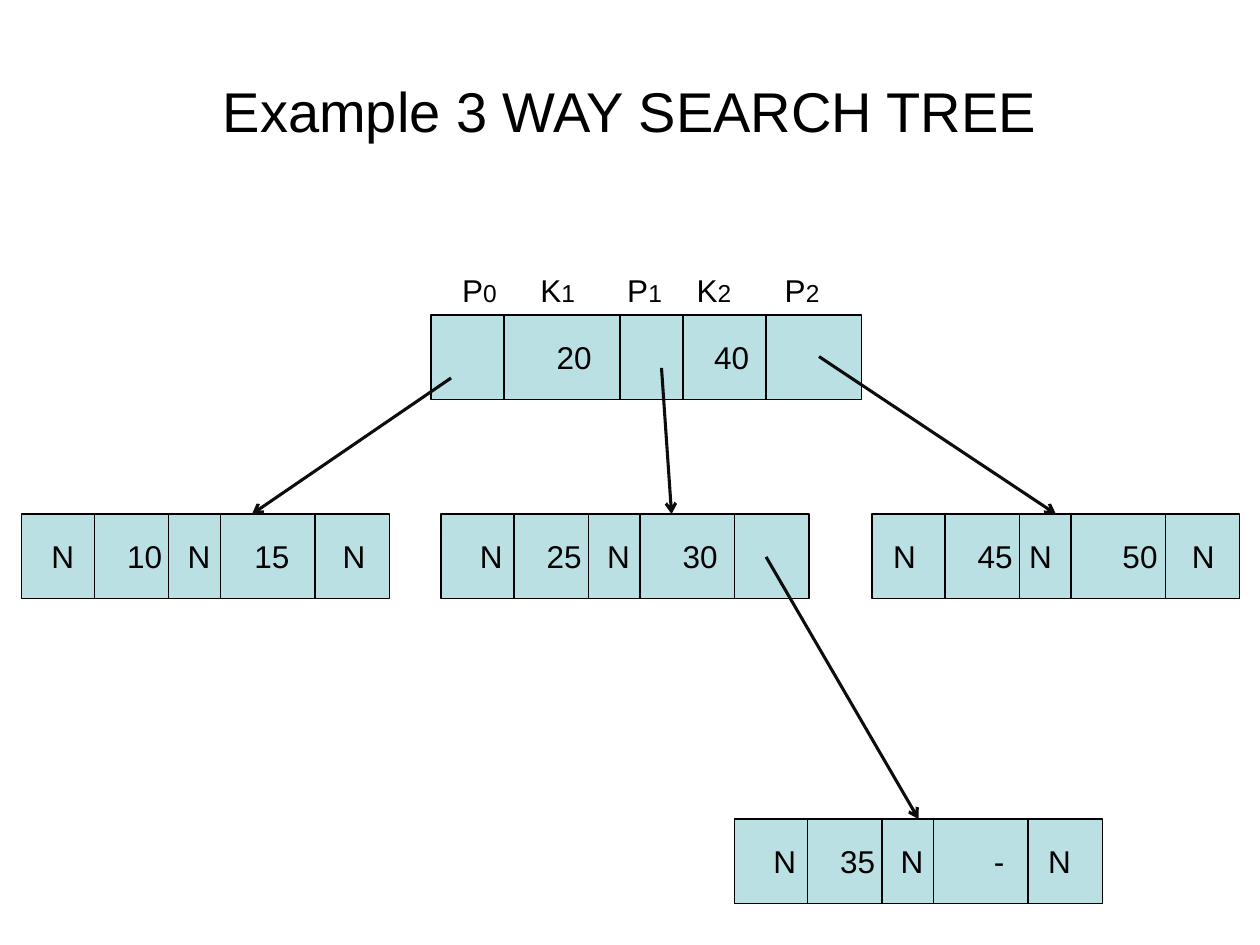
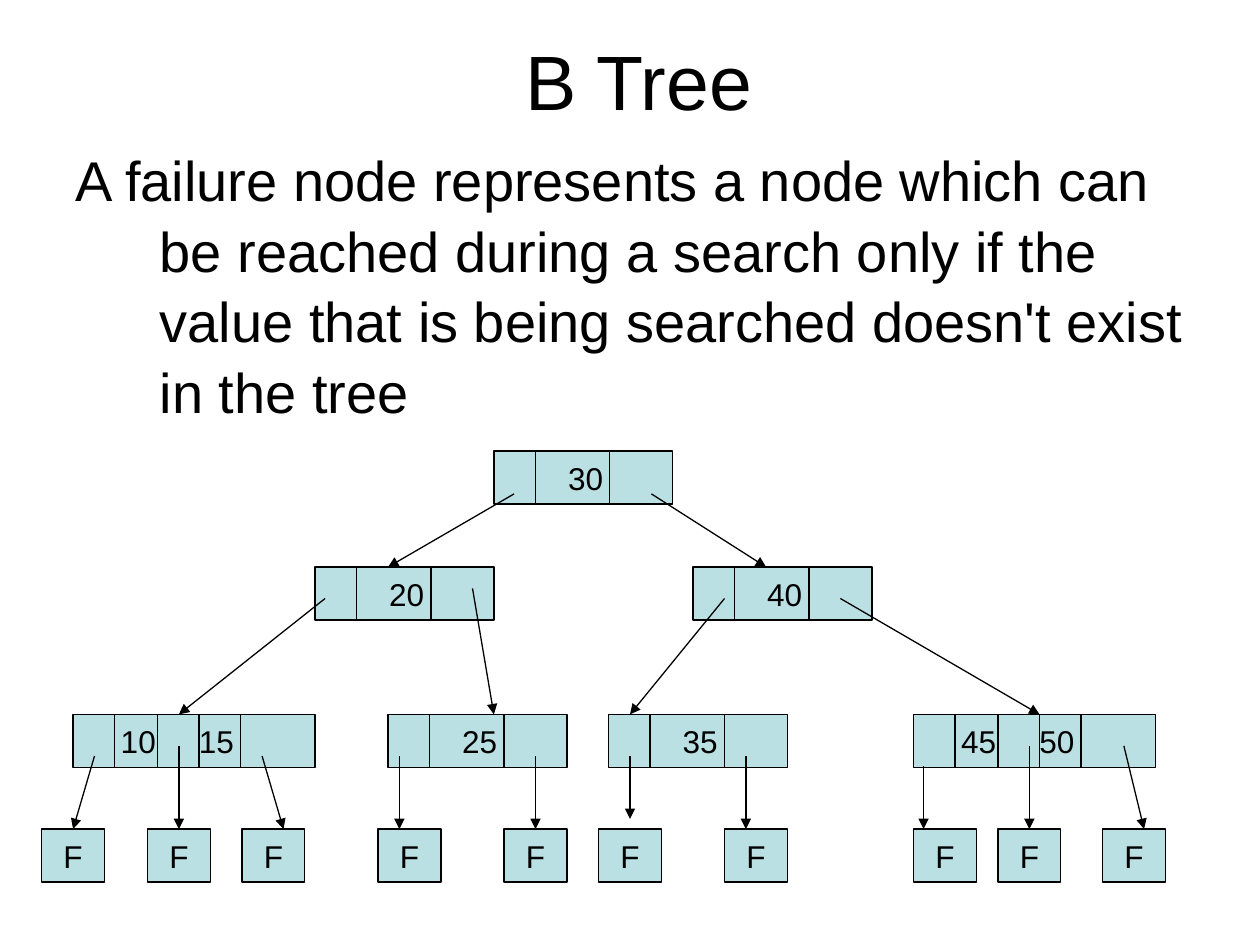
from lxml import etree
from pptx import Presentation
from pptx.dml.color import RGBColor
from pptx.enum.shapes import MSO_CONNECTOR as CONNECTOR, MSO_SHAPE as SHAPE
from pptx.enum.text import MSO_ANCHOR as ANCHOR, PP_ALIGN as ALIGN
from pptx.oxml.ns import qn
from pptx.util import Inches, Pt

FONT = "Arial"
BLACK = RGBColor(0x00, 0x00, 0x00)
DARK = RGBColor(0x0D, 0x0D, 0x0D)
AQUA = RGBColor(0xBB, 0xE0, 0xE3)

ROOT_DIVIDERS = [0.58, 1.5, 2, 2.66]
THREE_WAY_DIVIDERS = [0.58, 1.17, 1.58, 2.33]
ONE_KEY_DIVIDERS = [0.33, 0.92]
TWO_KEY_DIVIDERS = [0.33, 0.67, 1, 1.33]


def add_run(p, text, size):
    r = p.add_run()
    r.text = text
    r.font.name = FONT
    r.font.size = Pt(size)
    r.font.color.rgb = BLACK


def set_tabs(p, stops):
    """Put left tab stops, in inches from the text edge, on a paragraph."""
    tabs = etree.SubElement(p._p.get_or_add_pPr(), qn("a:tabLst"))
    for stop in stops:
        etree.SubElement(tabs, qn("a:tab"), pos=str(Inches(stop)), algn="l")


def add_text_box(s, left, top, width, height, anchor=ANCHOR.TOP):
    """Add a wrapping text box and return its first paragraph."""
    tf = s.shapes.add_textbox(Inches(left), Inches(top),
                              Inches(width), Inches(height)).text_frame
    tf.word_wrap = True
    tf.vertical_anchor = anchor
    return tf.paragraphs[0]


def add_title(s, text, size, left, top, width, height):
    p = add_text_box(s, left, top, width, height, ANCHOR.MIDDLE)
    p.alignment = ALIGN.CENTER
    set_tabs(p, range(8))
    add_run(p, text, size)


def add_line(s, start, end, color=BLACK, width=0.75):
    x1, y1 = start
    x2, y2 = end
    line = s.shapes.add_connector(CONNECTOR.STRAIGHT, Inches(x1), Inches(y1),
                                  Inches(x2), Inches(y2))
    line.line.color.rgb = color
    line.line.width = Pt(width)
    etree.SubElement(line._element.spPr, qn("a:effectLst"))
    return line


def add_arrow(s, start, end, target=None, head="triangle", color=BLACK, width=0.75):
    """Draw a pointer; a given target is joined at the middle of its top."""
    arrow = add_line(s, start, end, color, width)
    if target is not None:
        arrow.end_connect(target, 0)
    etree.SubElement(arrow.line._get_or_add_ln(), qn("a:tailEnd"), type=head)


def add_box(s, left, top, width, height):
    sp = s.shapes.add_shape(SHAPE.RECTANGLE, Inches(left), Inches(top),
                            Inches(width), Inches(height))
    sp.shadow.inherit = False
    sp.fill.solid()
    sp.fill.fore_color.rgb = AQUA
    sp.line.color.rgb = BLACK
    sp.line.width = Pt(0.75)
    sp.text_frame.word_wrap = True
    sp.text_frame.vertical_anchor = ANCHOR.MIDDLE
    return sp


def add_node(s, left, top, width, height, dividers, entries):
    """Draw a tree node; entries are (tab stop, text) pairs."""
    sp = add_box(s, left, top, width, height)
    p = sp.text_frame.paragraphs[0]
    p.alignment = ALIGN.LEFT
    set_tabs(p, [stop for stop, _ in entries])
    add_run(p, "".join("\t" + text for _, text in entries), 18)
    for offset in dividers:
        x = left + offset
        add_line(s, (x, top), (x, top + height))
    return sp


def add_three_way_node(s, left, top, *entries):
    return add_node(s, left, top, 2.92, 0.67, THREE_WAY_DIVIDERS, entries)


def add_one_key_node(s, left, top, key):
    return add_node(s, left, top, 1.42, 0.42, ONE_KEY_DIVIDERS, [(0.49, key)])


def add_two_key_node(s, left, top, key1, key2):
    return add_node(s, left, top, 1.92, 0.42, TWO_KEY_DIVIDERS,
                    [(0.28, key1), (0.9, key2)])


def add_failure_node(s, left):
    sp = add_box(s, left, 6.58, 0.5, 0.42)
    p = sp.text_frame.paragraphs[0]
    p.alignment = ALIGN.CENTER
    add_run(p, "F", 18)
    return sp


def add_field_labels(s):
    p = add_text_box(s, 3.08, 2.1, 5, 0.4)
    labels = [(0.49, "P", "0"), (1.11, "K", "1"), (1.8, "P", "1"),
              (2.35, "K", "2"), (3.05, "P", "2")]
    set_tabs(p, [stop for stop, _, _ in labels])
    for _, letter, index in labels:
        add_run(p, "\t" + letter, 18)
        add_run(p, index, 14)


def build_search_tree(s):
    add_title(s, "Example 3 WAY SEARCH TREE", 32, 0.5, 0.25, 9, 1.25)
    add_node(s, 3.42, 2.5, 3.42, 0.67, ROOT_DIVIDERS, [(0.9, "20"), (2.15, "40")])
    add_three_way_node(s, 0.17, 4.08, (0.14, "N"), (0.74, "10"), (1.22, "N"),
                       (1.75, "15"), (2.45, "N"))
    add_three_way_node(s, 3.5, 4.08, (0.21, "N"), (0.74, "25"), (1.22, "N"),
                       (1.82, "30"))
    right = add_three_way_node(s, 6.92, 4.08, (0.07, "N"), (0.74, "45"),
                               (1.15, "N"), (1.89, "50"), (2.44, "N"))
    bottom = add_three_way_node(s, 5.83, 6.5, (0.21, "N"), (0.74, "35"),
                                (1.22, "N"), (1.96, "-"), (2.39, "N"))
    for start, end, target in [
        ((3.58, 3), (2, 4.08), None),
        ((5.25, 2.92), (5.33, 4.08), None),
        ((6.5, 2.83), (8.38, 4.08), right),
        ((6.08, 4.42), (7.29, 6.5), bottom),
    ]:
        add_arrow(s, start, end, target, "arrow", DARK, 1.75)
    add_field_labels(s)


def build_b_tree(s):
    add_title(s, "B Tree\t", 44, 0.92, 0.17, 8.5, 0.92)
    p = add_text_box(s, 0.5, 1.08, 9.08, 2.25)
    p.space_before = Pt(8)
    p.line_spacing = 1.05
    pPr = p._p.get_or_add_pPr()
    pPr.set("marL", str(Inches(0.67)))
    pPr.set("indent", str(Inches(-0.67)))
    add_run(p, "A failure node represents a node which can be reached during a "
               "search only if the value that is being searched doesn't exist "
               "in the tree", 32)

    for left, top, key in [(3.92, 3.58, "30"), (2.5, 4.5, "20"), (5.5, 4.5, "40"),
                           (3.08, 5.67, "25"), (4.83, 5.67, "35")]:
        add_one_key_node(s, left, top, key)
    add_two_key_node(s, 0.58, 5.67, "10", "15")
    add_two_key_node(s, 7.25, 5.67, "45", "50")

    for start, end in [
        ((4.08, 3.92), (3.08, 4.5)), ((5.17, 3.92), (6.08, 4.5)),
        ((2.58, 4.75), (1.42, 5.67)), ((3.75, 4.67), (3.92, 5.67)),
        ((5.75, 4.75), (5, 5.67)), ((6.67, 4.75), (8.25, 5.67)),
    ]:
        add_arrow(s, start, end)

    # Failure node left, pointer start, pointer end, pointer meets the top middle
    for left, start, end, joined in [
        (0.33, (0.75, 6), (0.58, 6.58), True),
        (1.17, (1.42, 5.92), (1.42, 6.58), True),
        (1.92, (2.08, 6), (2.25, 6.58), False),
        (3, (3.17, 6), (3.17, 6.58), False),
        (4, (4.25, 6), (4.25, 6.58), True),
        (4.75, (5, 6), (5, 6.5), False),
        (5.75, (5.92, 6), (5.92, 6.58), False),
        (7.25, (7.33, 6.08), (7.33, 6.58), False),
        (7.92, (8.17, 5.92), (8.17, 6.58), True),
        (8.75, (8.92, 5.92), (9.08, 6.58), False),
    ]:
        failure = add_failure_node(s, left)
        add_arrow(s, start, end, failure if joined else None)


def main():
    prs = Presentation()
    prs.slide_width = Inches(10)
    prs.slide_height = Inches(7.5)
    for build in (build_search_tree, build_b_tree):
        build(prs.slides.add_slide(prs.slide_layouts[6]))
    prs.save("out.pptx")


if __name__ == "__main__":
    main()
